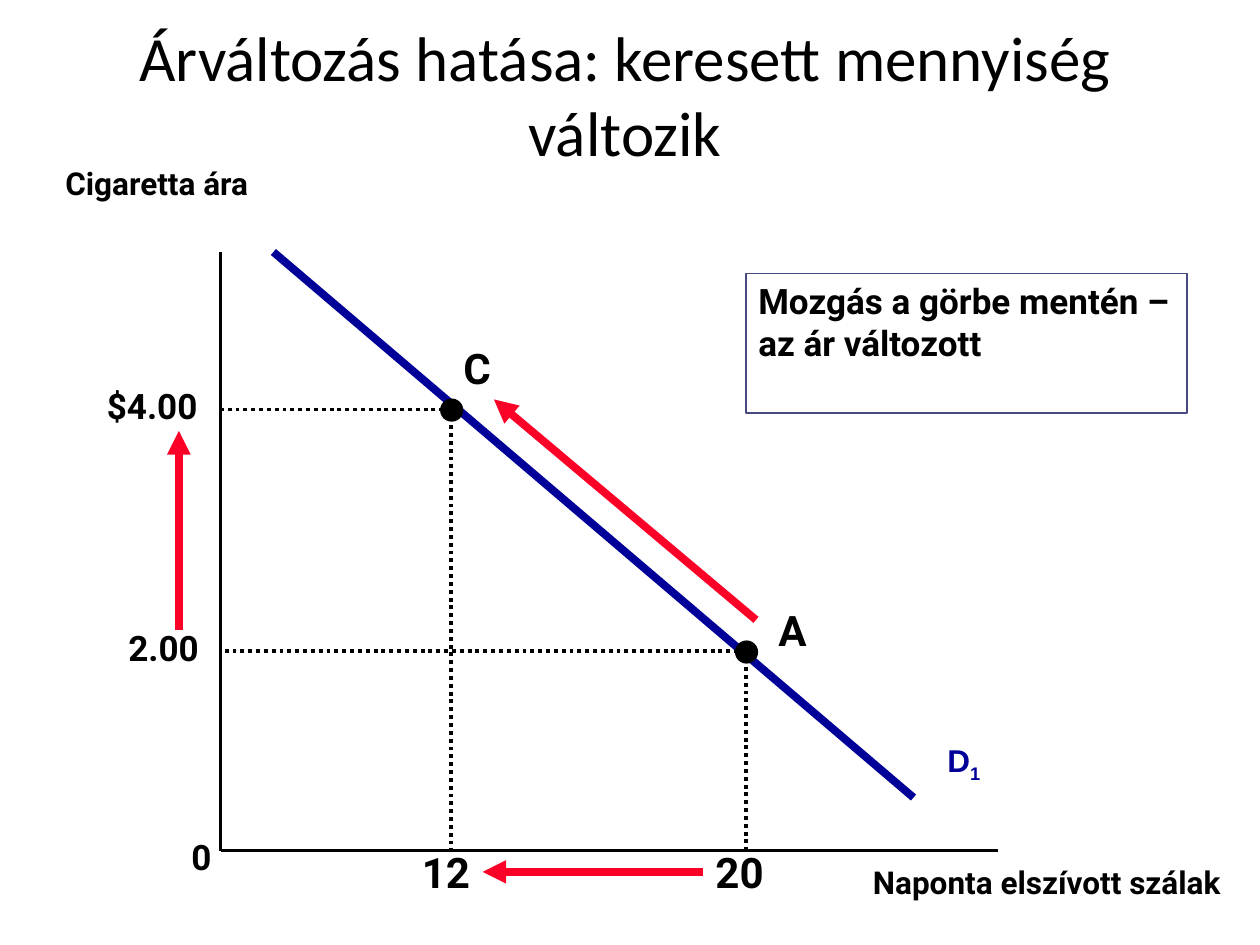
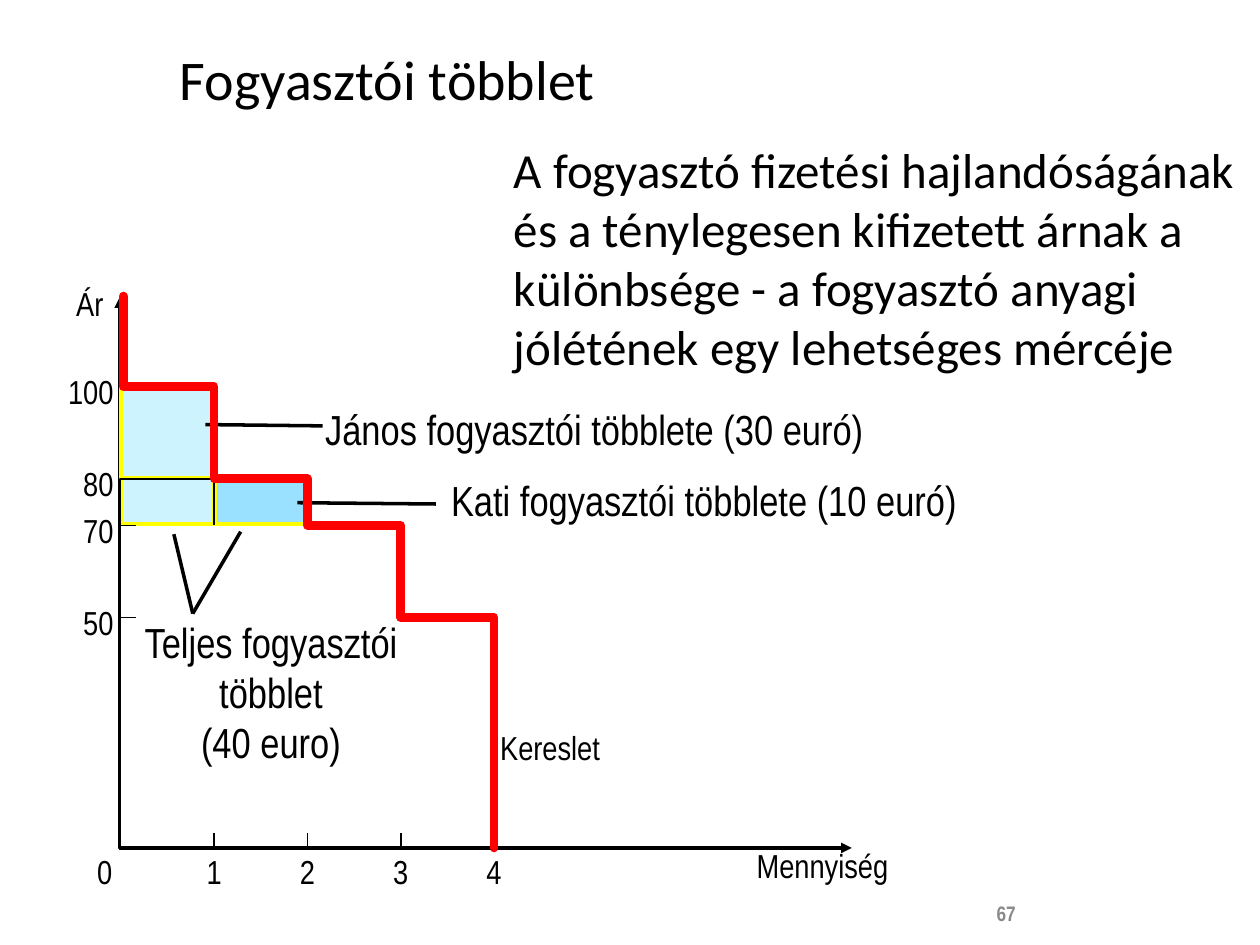
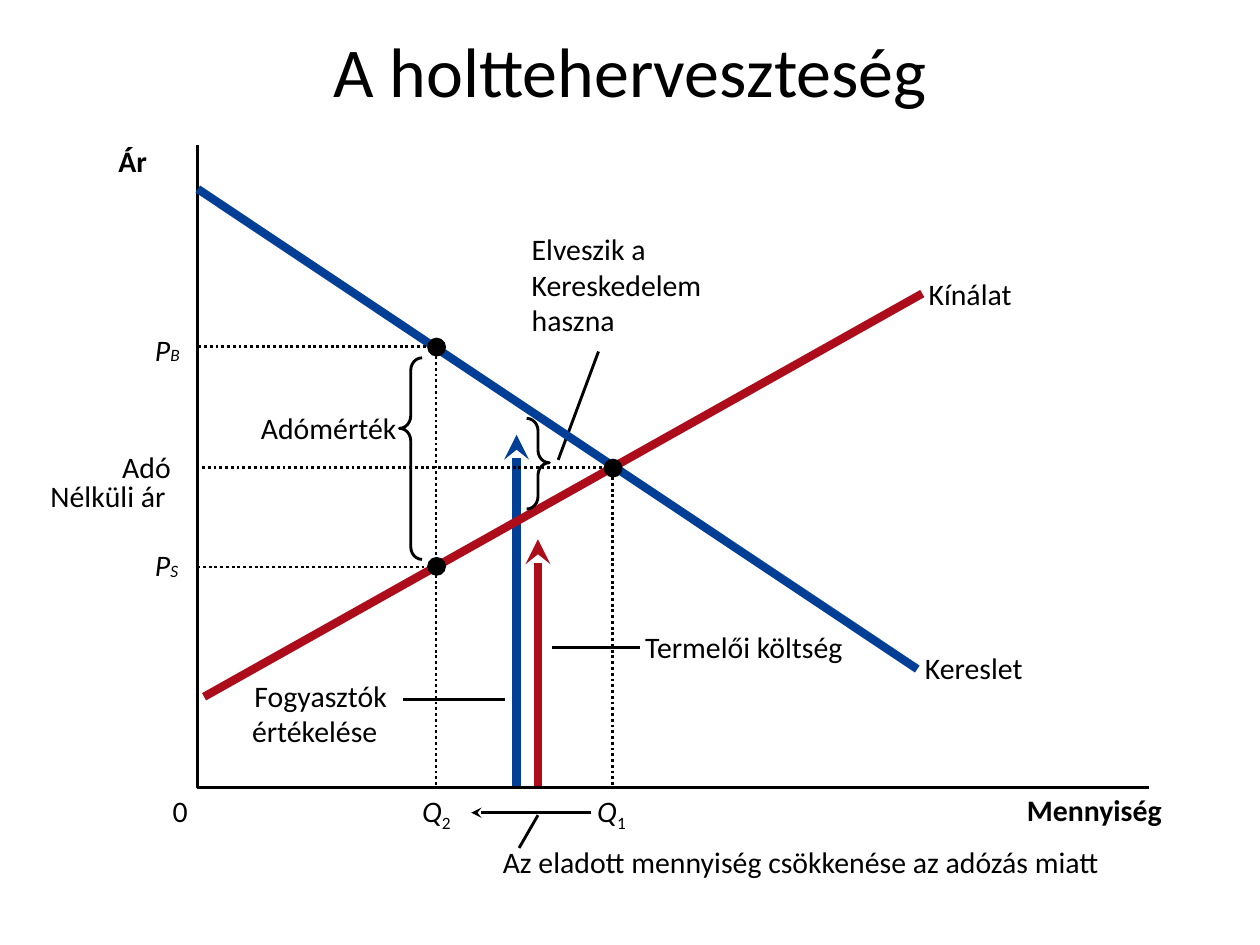
"""Build three slides on demand, consumer surplus and deadweight loss."""
from dataclasses import dataclass, replace

from lxml.etree import SubElement
from pptx import Presentation
from pptx.dml.color import RGBColor
from pptx.enum.dml import MSO_LINE
from pptx.enum.shapes import MSO_CONNECTOR, MSO_SHAPE
from pptx.enum.text import MSO_ANCHOR, MSO_AUTO_SIZE, PP_ALIGN
from pptx.oxml.ns import qn
from pptx.presentation import Presentation as Deck
from pptx.slide import Slide
from pptx.util import Emu, Pt

PX = 9144
SLIDE_WIDTH, SLIDE_HEIGHT = 1000, 750
TITLE_ONLY = 5
BLACK, GREY = "000000", "898989"
NAVY, SIGNAL_RED, FRAME = "000099", "FC0128", "474A81"
PALE_BLUE, SKY_BLUE, YELLOW, RED = "CDF3FF", "9AE1FF", "FFFF00", "FF0000"
DEMAND_BLUE, SUPPLY_RED = "003F95", "AD0D1B"

Point = tuple[int, int]
Box = tuple[int, int, int, int]


@dataclass(frozen=True)
class Style:
    """Look of the text in a label or title."""
    font: str
    size: int
    color: str = BLACK
    bold: bool = False
    italic: bool = False
    align: PP_ALIGN = PP_ALIGN.LEFT
    anchor: MSO_ANCHOR = MSO_ANCHOR.TOP
    spacing: float = 1.0
    inset: bool = False
    wrap: bool = False


@dataclass(frozen=True)
class Label:
    """Text in a box, with an optional subscript and outline."""
    box: Box
    text: str
    style: Style
    subscript: str = ""
    baseline: int = -25
    subscript_italic: bool = False
    outline: str = ""


@dataclass(frozen=True)
class Path:
    """Open line through points, with optional arrowheads."""
    points: tuple[Point, ...]
    width: float
    color: str = BLACK
    dotted: bool = False
    head: str = ""
    tail: str = ""
    round_cap: bool = False


@dataclass(frozen=True)
class Area:
    """Preset shape with optional fill and line."""
    kind: MSO_SHAPE
    box: Box
    fill: str = ""
    line: str = ""
    width: float = 1
    adjustments: tuple[float, ...] = ()


TITLE = Style("Calibri", 36, align=PP_ALIGN.CENTER, inset=True, wrap=True)
ROBOTO = Style("Roboto", 20, bold=True, inset=True, wrap=True)
ROBOTO_SMALL = replace(ROBOTO, size=18)
ROBOTO_LARGE = replace(ROBOTO, size=24)
NARROW = Style("Arial Narrow", 19)
NARROW_AXIS = replace(NARROW, align=PP_ALIGN.RIGHT, spacing=0.85)
NARROW_NOTE = replace(NARROW, size=24, wrap=True)
CALIBRI = Style("Calibri", 17)
CALIBRI_BOLD = replace(CALIBRI, bold=True)
CALIBRI_ITALIC = replace(CALIBRI, italic=True)


def rgb(color: str) -> RGBColor:
    """Turn a hex string into a colour."""
    return RGBColor.from_string(color)


def px(*lengths: int) -> list[Emu]:
    """Turn lengths in px into EMU."""
    return [Emu(length * PX) for length in lengths]


def add_run(paragraph, text: str, style: Style):
    """Add one formatted run."""
    run = paragraph.add_run()
    run.text = text
    run.font.name = style.font
    run.font.size = Pt(style.size)
    run.font.bold = style.bold
    run.font.italic = style.italic
    run.font.color.rgb = rgb(style.color)
    return run


def fill_text(frame, text: str, style: Style) -> None:
    """Write paragraphs into a text frame."""
    frame.word_wrap = style.wrap
    frame.auto_size = MSO_AUTO_SIZE.NONE if style.wrap else MSO_AUTO_SIZE.SHAPE_TO_FIT_TEXT
    frame.vertical_anchor = style.anchor
    frame.margin_left = frame.margin_right = Emu(10 * PX * style.inset)
    frame.margin_top = frame.margin_bottom = Emu(5 * PX * style.inset)
    for index, line in enumerate(text.split("\n")):
        paragraph = frame.add_paragraph() if index else frame.paragraphs[0]
        paragraph.alignment = style.align
        paragraph.line_spacing = style.spacing
        add_run(paragraph, line, style)


def draw_label(slide: Slide, label: Label) -> None:
    """Draw a label."""
    if label.outline:
        shape = slide.shapes.add_shape(MSO_SHAPE.RECTANGLE, *px(*label.box))
        shape.shadow.inherit = False
        shape.fill.background()
        shape.line.color.rgb = rgb(label.outline)
        shape.line.width = Pt(1)
    else:
        shape = slide.shapes.add_textbox(*px(*label.box))
    fill_text(shape.text_frame, label.text, label.style)
    if label.subscript:
        style = replace(label.style, italic=label.subscript_italic)
        run = add_run(shape.text_frame.paragraphs[-1], label.subscript, style)
        run.font._element.set("baseline", str(label.baseline * 1000))


def draw_path(slide: Slide, path: Path) -> None:
    """Draw a connector for two points and a freeform for more."""
    points = [px(*point) for point in path.points]
    if len(points) == 2:
        shape = slide.shapes.add_connector(MSO_CONNECTOR.STRAIGHT, *points[0], *points[1])
    else:
        builder = slide.shapes.build_freeform(*points[0])
        builder.add_line_segments(points[1:], close=False)
        shape = builder.convert_to_shape()
        shape.fill.background()
    shape.line.color.rgb = rgb(path.color)
    shape.line.width = Pt(path.width)
    if path.dotted:
        shape.line.dash_style = MSO_LINE.ROUND_DOT
    properties = shape._element.spPr
    outline = properties.find(qn("a:ln"))
    if path.round_cap:
        outline.set("cap", "rnd")
    for tag, kind in (("a:headEnd", path.head), ("a:tailEnd", path.tail)):
        if kind:
            SubElement(outline, qn(tag), type=kind)
    SubElement(properties, qn("a:effectLst"))


def draw_area(slide: Slide, area: Area) -> None:
    """Draw a preset shape."""
    shape = slide.shapes.add_shape(area.kind, *px(*area.box))
    shape.shadow.inherit = False
    for index, value in enumerate(area.adjustments):
        shape.adjustments[index] = value
    if area.fill:
        shape.fill.solid()
        shape.fill.fore_color.rgb = rgb(area.fill)
    else:
        shape.fill.background()
    if area.line:
        shape.line.color.rgb = rgb(area.line)
        shape.line.width = Pt(area.width)
    else:
        shape.line.fill.background()


def draw_all(slide: Slide, items: list[Label | Path | Area]) -> None:
    """Draw items from back to front."""
    drawers = {Label: draw_label, Path: draw_path, Area: draw_area}
    for item in items:
        drawers[type(item)](slide, item)


def add_titled_slide(presentation: Deck, title: str, box: Box, style: Style) -> Slide:
    """Add a title-only slide with a placed title."""
    slide = presentation.slides.add_slide(presentation.slide_layouts[TITLE_ONLY])
    shape = slide.shapes.title
    shape.left, shape.top, shape.width, shape.height = px(*box)
    fill_text(shape.text_frame, title, style)
    return slide


def dot(center: Point, size: int, line: str = "") -> Area:
    """Describe a black point on a curve."""
    x, y = center
    return Area(MSO_SHAPE.OVAL, (x - size // 2, y - size // 2, size, size), BLACK, line)


def build_price_change(presentation: Deck) -> None:
    """Build the movement along the demand curve."""
    slide = add_titled_slide(
        presentation, "Árváltozás hatása: keresett mennyiség változik",
        (71, 12, 850, 125), replace(TITLE, anchor=MSO_ANCHOR.MIDDLE))
    origin_x, origin_y = 175, 675
    points = ((358, 325), (592, 517))
    items = [
        Path(((origin_x, 200), (origin_x, origin_y)), 2.25),
        Path(((origin_x, origin_y), (792, origin_y)), 2.25),
        Path(((217, 200), (725, 633)), 4.5, NAVY),
    ]
    for x, y in points:
        items += [
            Path(((x, y), (origin_x, y)), 2.25, dotted=True),
            Path(((x, y), (x, origin_y)), 2.25, dotted=True),
            dot((x, y), 17, BLACK),
        ]
    arrows = (((600, 492), (392, 317)), ((142, 500), (142, 342)), ((558, 692), (383, 692)))
    items += [Path(arrow, 4.5, SIGNAL_RED, tail="triangle") for arrow in arrows]
    items += [
        Label((142, 658, 83, 43), "0", ROBOTO),
        Label((742, 583, 83, 63), "D", replace(ROBOTO_SMALL, font="Arial", color=NAVY), "1"),
        Label((42, 125, 167, 71), "Cigaretta ára", ROBOTO_SMALL),
        Label((683, 680, 317, 71), "Naponta elszívott szálak", ROBOTO_SMALL),
        Label((592, 217, 350, 111), "Mozgás a görbe mentén – az ár változott", ROBOTO,
              outline=FRAME),
        Label((608, 475, 43, 50), "A", ROBOTO_LARGE),
        Label((358, 267, 58, 50), "C", ROBOTO_LARGE),
        Label((558, 667, 75, 50), "20", ROBOTO_LARGE),
        Label((325, 667, 75, 50), "12", ROBOTO_LARGE),
        Label((92, 492, 100, 43), "2.00", ROBOTO),
        Label((75, 300, 100, 43), "$4.00", ROBOTO),
    ]
    draw_all(slide, items)


def build_consumer_surplus(presentation: Deck) -> None:
    """Build the stepped demand curve with its surplus areas."""
    slide = add_titled_slide(presentation, "Fogyasztói többlet", (20, 30, 575, 125),
                             replace(TITLE, size=32))
    axis_x, axis_y = 95, 673
    prices = (100, 80, 70, 50)
    price_y = {price: round(axis_y - 3.66 * price) for price in prices}
    quantity_x = [axis_x + 1 + 74 * quantity for quantity in range(5)]
    items = [Area(MSO_SHAPE.RECTANGLE, (96, 307, 74, 109), PALE_BLUE, YELLOW, 2)]
    for price, y in price_y.items():
        items += [
            Path(((108, y), (axis_x, y)), 1),
            Label((45, y - 12, 45, 32), str(price), replace(NARROW, align=PP_ALIGN.RIGHT)),
        ]
    for quantity, x in enumerate(quantity_x[1:], 1):
        items += [
            Path(((x, 661), (x, 672)), 1),
            Label((x - 6, 676, 12, 32), str(quantity), NARROW),
        ]
    staircase = [(quantity_x[0] + 2, 235)]
    for index, y in enumerate(price_y.values()):
        staircase += [(quantity_x[index] + 2 * (not index), y), (quantity_x[index + 1], y)]
    staircase.append((quantity_x[-1], axis_y))
    items += [
        Label((77, 676, 12, 32), "0", NARROW),
        Label((60, 230, 22, 27), "Ár", NARROW_AXIS),
        Label((600, 676, 105, 27), "Mennyiség", NARROW_AXIS),
        Path(((axis_x, 236), (axis_x, axis_y), (676, axis_y)), 2,
             head="triangle", tail="triangle"),
        Area(MSO_SHAPE.RECTANGLE, (96, 307, 74, 72), PALE_BLUE, YELLOW, 2),
        Path(((163, 337), (256, 338)), 2),
        Area(MSO_SHAPE.RECTANGLE, (171, 381, 72, 35), SKY_BLUE, YELLOW, 2),
        Path(((236, 399), (346, 400)), 2),
        Path(((191, 422), (153, 487)), 2),
        Path(((axis_x, 380), (170, 380), (170, 417)), 1),
        Path(((138, 424), (153, 487)), 2),
        Path(tuple(staircase), 5, RED, round_cap=True),
        Label((358, 377, 416, 40), "Kati fogyasztói többlete (10 euró)", NARROW_NOTE),
        Label((258, 320, 445, 40), "János fogyasztói többlete (30 euró)", NARROW_NOTE),
        Label((99, 489, 232, 121), "Teljes fogyasztói többlet\n(40 euro)",
              replace(NARROW_NOTE, align=PP_ALIGN.CENTER)),
        Label((397, 577, 80, 32), "Kereslet", NARROW),
        Label((398, 106, 598, 199),
              "A fogyasztó fizetési hajlandóságának és a ténylegesen kifizetett árnak a "
              "különbsége - a fogyasztó anyagi jólétének egy lehetséges mércéje",
              Style("Calibri", 28, inset=True, wrap=True)),
        Label((583, 705, 233, 40), "67",
              Style("Arial Narrow", 12, GREY, bold=True, align=PP_ALIGN.RIGHT,
                    anchor=MSO_ANCHOR.MIDDLE, inset=True, wrap=True)),
    ]
    draw_all(slide, items)


def build_deadweight_loss(presentation: Deck) -> None:
    """Build supply and demand with a tax wedge."""
    slide = add_titled_slide(presentation, "A holtteherveszteség", (50, 30, 900, 125),
                             replace(TITLE, size=40, spacing=0.8))
    thin, thick = 1.63, 4.75
    axis_x, axis_y = 157, 625
    buyer, seller, market = (346, 275), (346, 449), (486, 371)
    pointers = (
        ((438, 514), (508, 514)), ((320, 555), (401, 555)),
        ((443, 365), (475, 279)), ((412, 673), (427, 647)),
    )
    items = [
        Path(((469, 645), (374, 645)), thin, tail="stealth"),
        Path(((427, axis_y), (427, 428)), thick, SUPPLY_RED, tail="stealth"),
        Path(((410, axis_y), (410, 345)), thick, DEMAND_BLUE, tail="stealth"),
        Path(((axis_x, 115), (axis_x, axis_y), (912, axis_y)), thin),
        *(Path(pointer, thin) for pointer in pointers),
        Area(MSO_SHAPE.LEFT_BRACE, (317, 284, 18, 160), line=BLACK, width=thin,
             adjustments=(0.55, 0.35)),
        Path(((axis_x, 150), (728, 531)), thick, DEMAND_BLUE),
        Path(((732, 233), (162, 553)), thick, SUPPLY_RED),
        Area(MSO_SHAPE.RIGHT_BRACE, (418, 332, 18, 72), line=BLACK, width=thin,
             adjustments=(0.55, 0.49)),
    ]
    for x, y in (market, buyer):
        items.append(Path(((x, 623), (x, y), (axis_x, y)), thin, dotted=True))
    items.append(Path(((346, 450), (axis_x, 450)), thin, dotted=True))
    items += [dot(point, 15) for point in (market, buyer, seller)]
    texts = (
        ((512, 499, 158, 29), "Termelői költség"),
        ((202, 538, 106, 29), "Fogyasztók"),
        ((200, 566, 101, 29), "értékelése"),
        ((207, 325, 109, 29), "Adómérték"),
        ((137, 629, 12, 29), "0"),
        ((734, 516, 78, 29), "Kereslet"),
        ((737, 219, 66, 29), "Kínálat"),
        ((422, 183, 136, 86), "Elveszik a\nKereskedelem\nhaszna"),
        ((399, 670, 479, 29), "Az eladott mennyiség csökkenése az adózás miatt"),
        ((97, 356, 39, 29), "Adó"),
        ((40, 379, 92, 29), "Nélküli ár"),
    )
    items += [Label(box, text, CALIBRI) for box, text in texts]
    items += [
        Label((815, 628, 108, 29), "Mennyiség", CALIBRI_BOLD),
        Label((94, 113, 23, 29), "Ár", CALIBRI_BOLD),
        Label((474, 629, 24, 29), "Q", CALIBRI_ITALIC, "1"),
        Label((335, 629, 24, 29), "Q", CALIBRI_ITALIC, "2"),
        Label((123, 263, 21, 29), "P", CALIBRI_ITALIC, "B", -2, True),
        Label((123, 434, 19, 29), "P", CALIBRI_ITALIC, "S", -2, True),
    ]
    draw_all(slide, items)


def main() -> None:
    """Build and save the presentation."""
    presentation = Presentation()
    presentation.slide_width, presentation.slide_height = px(SLIDE_WIDTH, SLIDE_HEIGHT)
    build_price_change(presentation)
    build_consumer_surplus(presentation)
    build_deadweight_loss(presentation)
    presentation.save("out.pptx")


if __name__ == "__main__":
    main()
